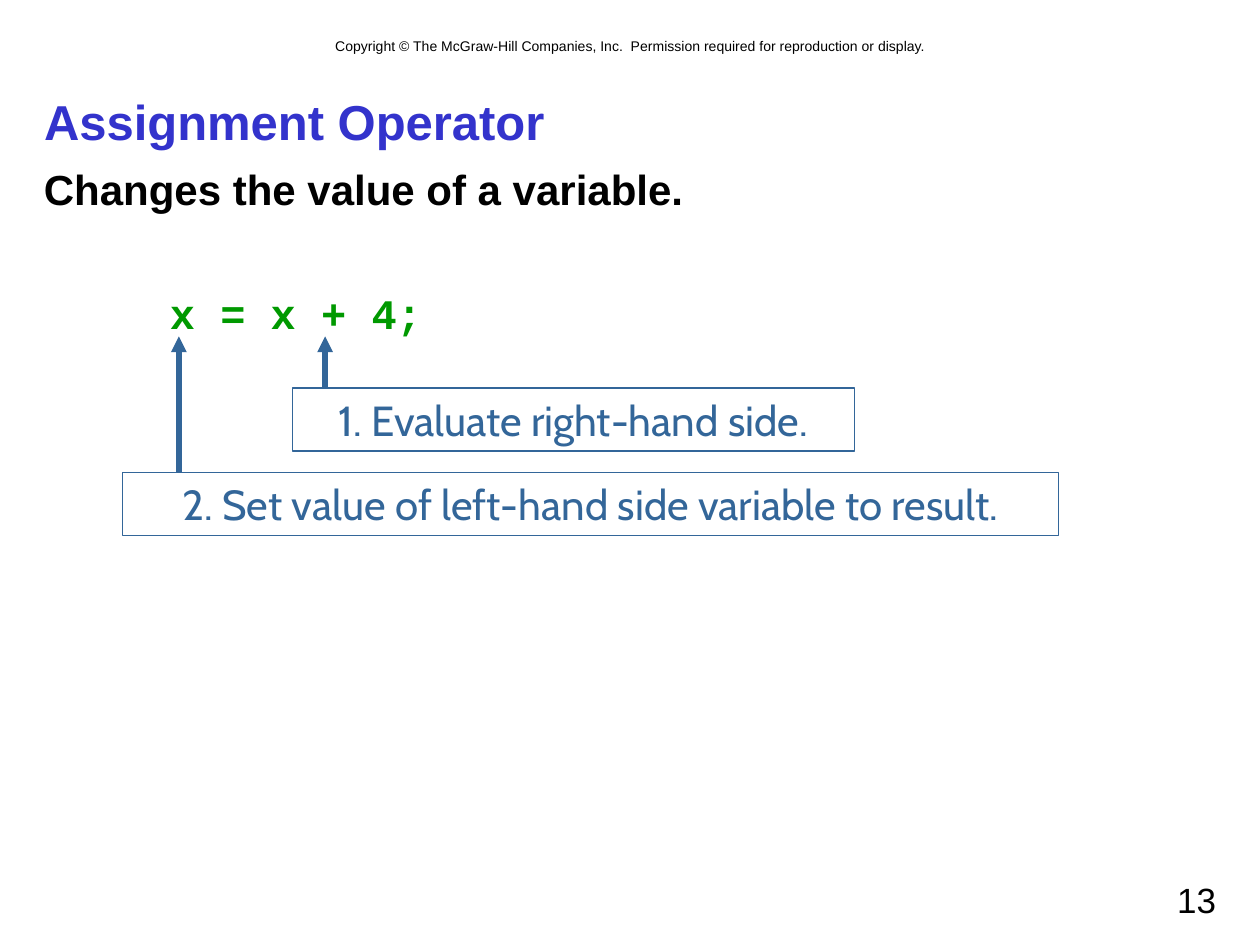
from dataclasses import dataclass

from lxml import etree
from pptx import Presentation
from pptx.dml import color
from pptx.enum import shapes, text
from pptx.oxml import ns
from pptx.util import Inches, Pt


@dataclass(frozen=True)
class Theme:
    ink: str = "000000"
    title: str = "3333CC"
    code: str = "009900"
    note: str = "336699"
    sans: str = "Arial"
    mono: str = "Courier New"
    label: str = "Cabin"
    tiny: int = 8
    page: int = 20
    body: int = 24
    head: int = 28


THEME = Theme()
ALIGN = text.PP_ALIGN
ANCHOR = text.MSO_ANCHOR


def rgb(value):
    return color.RGBColor.from_string(value)


def place(shape, left, top, width, height):
    shape.left, shape.top = Inches(left), Inches(top)
    shape.width, shape.height = Inches(width), Inches(height)


def write(frame, words, more=False, size=THEME.body, font=THEME.sans,
          ink=THEME.ink, bold=False, align=ALIGN.LEFT, anchor=ANCHOR.TOP,
          before=0, indent=0):
    frame.word_wrap = True
    frame.auto_size = text.MSO_AUTO_SIZE.NONE
    frame.vertical_anchor = anchor
    para = frame.add_paragraph() if more else frame.paragraphs[0]
    if indent:
        props = para._p.get_or_add_pPr()
        props.set("marL", str(Inches(indent)))
        props.set("indent", "0")
    para.alignment = align
    para.space_before = Pt(before)
    run = para.add_run()
    run.text = words
    run.font.size = Pt(size)
    run.font.name = font
    run.font.bold = bold
    run.font.color.rgb = rgb(ink)


def add_text(slide, box, words, **style):
    shape = slide.shapes.add_textbox(*map(Inches, box))
    write(shape.text_frame, words, **style)
    return shape.text_frame


def add_title(slide, box, words):
    title = slide.shapes.title
    place(title, *box)
    write(title.text_frame, words, size=THEME.head, ink=THEME.title,
          bold=True, anchor=ANCHOR.MIDDLE)


def add_step(slide, box, words):
    rect = slide.shapes.add_shape(shapes.MSO_SHAPE.RECTANGLE,
                                  *map(Inches, box))
    rect.shadow.inherit = False
    rect.fill.background()
    rect.line.color.rgb = rgb(THEME.note)
    rect.line.width = Pt(0.75)
    write(rect.text_frame, words, font=THEME.label, ink=THEME.note,
          align=ALIGN.CENTER, anchor=ANCHOR.MIDDLE)


def add_arrow(slide, x, start, end):
    arrow = slide.shapes.add_connector(
        shapes.MSO_CONNECTOR.STRAIGHT,
        Inches(x), Inches(start), Inches(x), Inches(end))
    arrow.line.color.rgb = rgb(THEME.note)
    arrow.line.width = Pt(3)
    line = arrow.line._get_or_add_ln()
    etree.SubElement(line, ns.qn("a:tailEnd"), type="triangle")
    etree.SubElement(arrow._element.spPr, ns.qn("a:effectLst"))


def main():
    deck = Presentation()
    deck.slide_width, deck.slide_height = Inches(10), Inches(7.5)
    slide = deck.slides.add_slide(deck.slide_layouts[5])

    add_text(slide, (0.67, 0.25, 8.67, 0.24),
             "Copyright © The McGraw-Hill Companies, Inc.  "
             "Permission required for reproduction or display.",
             size=THEME.tiny, align=ALIGN.CENTER)
    add_title(slide, (0.25, 0.67, 9.5, 0.58), "Assignment Operator")
    body = add_text(slide, (0.25, 1.25, 9.5, 5.42),
                    "Changes the value of a variable.", bold=True)
    write(body, "x = x + 4;", more=True, font=THEME.mono, ink=THEME.code,
          bold=True, before=42, indent=1)

    steps = [
        ((2.32, 3.08, 4.46, 0.5), 2.58, "1. Evaluate right-hand side."),
        ((0.97, 3.75, 7.43, 0.5), 1.42,
         "2. Set value of left-hand side variable to result."),
    ]
    for box, x, words in steps:
        add_step(slide, box, words)
        add_arrow(slide, x, box[1], 2.67)

    add_text(slide, (7.17, 6.92, 2.58, 0.42), "13", size=THEME.page,
             align=ALIGN.RIGHT)
    deck.save("out.pptx")


if __name__ == "__main__":
    main()
